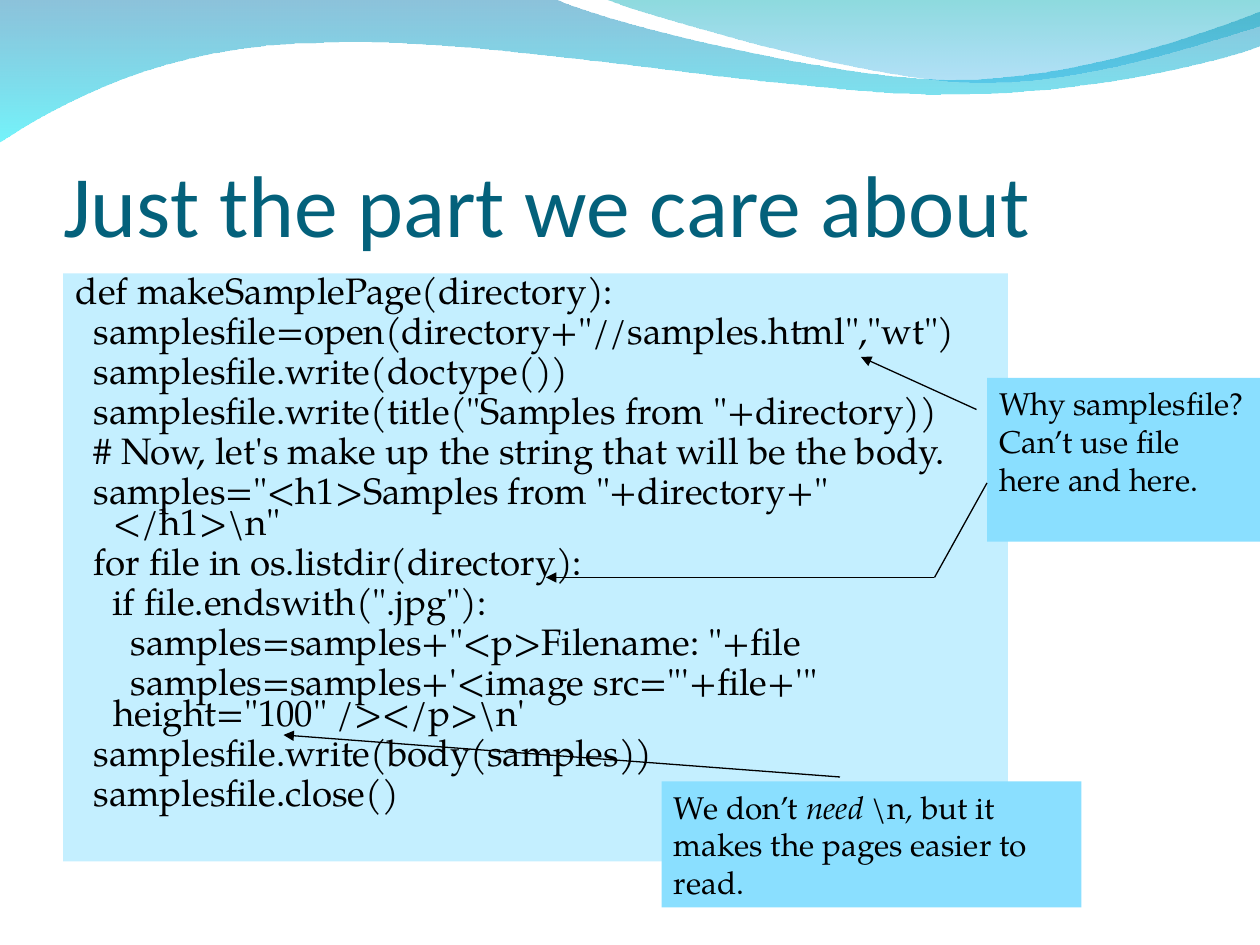
from dataclasses import dataclass

from lxml import etree
from pptx import Presentation
from pptx.dml.color import RGBColor
from pptx.enum.shapes import MSO_CONNECTOR, MSO_SHAPE
from pptx.enum.text import MSO_ANCHOR, MSO_AUTO_SIZE, PP_ALIGN
from pptx.oxml.ns import qn
from pptx.util import Pt

RECTANGLE, STRAIGHT = MSO_SHAPE.RECTANGLE, MSO_CONNECTOR.STRAIGHT
TOP, BOTTOM = MSO_ANCHOR.TOP, MSO_ANCHOR.BOTTOM
LEFT, NO_AUTOFIT = PP_ALIGN.LEFT, MSO_AUTO_SIZE.NONE


@dataclass(frozen=True)
class Theme:
    """Colours, fonts and type sizes of the slide."""
    title_color: str = "04617B"
    text_color: str = "000000"
    code_fill: str = "C4EFFF"
    callout_fill: str = "8ADFFF"
    wide_wave: tuple = (("0079AF", 45), ("00EBF8", 55))
    right_wave: tuple = (("00ADB6", 45), ("009BE5", 30))
    title_font: str = "Calibri"
    text_font: str = "TeX Gyre Pagella"
    title_size: float = 50
    code_size: float = 21
    callout_size: float = 18
    line_width: float = 0.75


THEME = Theme()

WIDE_WAVE = [
    (0, -0.7), (316.8, -0.7),
    (342.7, 12.2, 478.1, 45.4, 545.8, 45.4),
    (614.2, 45.4, 689.8, 18.7, 720, 6.5),
    (720.7, 25.9),
    (707.8, 31.7, 626.4, 54.7, 537.1, 54),
    (447.8, 54, 275, 20.2, 185, 24.5),
    (92.9, 25.2, 33.1, 59.8, -0.7, 81.4),
    (0, -0.7),
]
RIGHT_WAVE = [
    (344.9, -0.7),
    (366.5, 7.9, 491, 44.6, 553.7, 46.8),
    (616.3, 49.7, 691.9, 23, 720, 15.1),
    (720, 0), (344.9, -0.7),
]
CODE = r'''def makeSamplePage(directory):
  samplesfile=open(directory+"//samples.html","wt")
  samplesfile.write(doctype())
  samplesfile.write(title("Samples from "+directory))
  # Now, let's make up the string that will be the body.
  samples="<h1>Samples from "+directory+" </h1>\n"
  for file in os.listdir(directory):
    if file.endswith(".jpg"):
      samples=samples+"<p>Filename: "+file
      samples=samples+'<image src="'+file+'" height="100" /></p>\n'
  samplesfile.write(body(samples))
  samplesfile.close()'''
CALLOUTS = [
    ((564, 216, 156, 93.6),
     [("Why samplesfile? Can’t use file here and here.", False)]),
    ((378, 446.5, 240, 72),
     [("We don’t ", False), ("need", True), (r" \n", False), (",", True),
      (" but it makes the pages easier to read.", False)]),
]
POINTERS = [
    ((558, 234), (492, 204), True),
    ((534, 330), (312, 330), True),
    ((564, 276), (534, 330), False),
    ((480, 444), (162, 420), True),
]


def apply(target, values):
    """Set the attributes of an object from a dict."""
    for name, value in values.items():
        setattr(target, name, value)


def place(shape, box):
    """Move and size a shape to a box in points."""
    apply(shape, dict(zip(("left", "top", "width", "height"), map(Pt, box))))


def fill_solid(shape, color):
    """Give a shape one plain fill colour."""
    shape.fill.solid()
    shape.fill.fore_color.rgb = RGBColor.from_string(color)


def add_run(paragraph, text, font, size, color, italic=False):
    """Append a formatted run to a paragraph."""
    run = paragraph.add_run()
    run.text = text
    apply(run.font, {"name": font, "size": Pt(size), "italic": italic})
    run.font.color.rgb = RGBColor.from_string(color)


def build_outline(slide, segments):
    """Build a closed freeform; segments of six values become Bézier curves."""
    first, *rest = [(Pt(x), Pt(y)) for segment in segments
                    for x, y in zip(segment[::2], segment[1::2])]
    builder = slide.shapes.build_freeform(*first)
    builder.add_line_segments(rest, close=True)
    outline = builder.convert_to_shape()
    lines = iter(list(outline.element.iter(qn("a:lnTo"))))
    for segment in segments[1:]:
        line = next(lines)
        if len(segment) == 6:
            line.tag = qn("a:cubicBezTo")
            for other in (next(lines), next(lines)):
                line.append(other[0])
                other.getparent().remove(other)
    return outline


def add_wave(slide, segments, stops, depth):
    """Draw a translucent gradient wave behind the text."""
    wave = build_outline(slide, segments)
    wave.shadow.inherit = False
    wave.line.fill.background()
    wave.fill.gradient()
    wave.fill.gradient_angle = 270
    for stop, (color, opacity) in zip(wave.fill.gradient_stops, stops):
        stop.color.rgb = RGBColor.from_string(color)
    for element, (color, opacity) in zip(wave.element.iter(qn("a:srgbClr")), stops):
        etree.SubElement(element, qn("a:alpha"), val=str(opacity * 1000))
    wave.element.getparent().insert(2 + depth, wave.element)


def fill_title(title, text):
    """Place and write the title."""
    place(title, (36, 55.7, 648, 90))
    apply(title.text_frame, {
        "auto_size": NO_AUTOFIT, "vertical_anchor": BOTTOM, "margin_left": 0,
        "margin_right": 0, "margin_top": Pt(3.6), "margin_bottom": 0})
    paragraph = title.text_frame.paragraphs[0]
    paragraph.alignment = LEFT
    add_run(paragraph, text, THEME.title_font, THEME.title_size, THEME.title_color)


def fill_code(body, code):
    """Write the code listing, one paragraph a line."""
    place(body, (36, 156.2, 540, 336))
    fill_solid(body, THEME.code_fill)
    frame = body.text_frame
    apply(frame, {"auto_size": NO_AUTOFIT, "vertical_anchor": TOP})
    for index, line in enumerate(code.split("\n")):
        paragraph = frame.add_paragraph() if index else frame.paragraphs[0]
        properties = paragraph._p.get_or_add_pPr()
        apply(paragraph, {"alignment": LEFT, "line_spacing": 0.7,
                          "space_before": Pt(5.25 if index else 0)})
        properties.set("marL", str(Pt(21.6)))
        properties.set("indent", str(-Pt(21.6)))
        etree.SubElement(properties, qn("a:buNone"))
        add_run(paragraph, line, THEME.text_font, THEME.code_size, THEME.text_color)


def add_callout(slide, box, runs):
    """Add a filled note box."""
    callout = slide.shapes.add_shape(RECTANGLE, *map(Pt, box))
    callout.shadow.inherit = False
    callout.line.fill.background()
    fill_solid(callout, THEME.callout_fill)
    apply(callout.text_frame, {"word_wrap": True, "vertical_anchor": TOP})
    paragraph = callout.text_frame.paragraphs[0]
    paragraph.alignment = LEFT
    for text, italic in runs:
        add_run(paragraph, text, THEME.text_font, THEME.callout_size,
                THEME.text_color, italic)


def add_pointer(slide, start, end, has_head):
    """Add a thin line, with an arrowhead at its end if wanted."""
    pointer = slide.shapes.add_connector(STRAIGHT, *map(Pt, start + end))
    pointer.line.width = Pt(THEME.line_width)
    pointer.line.color.rgb = RGBColor.from_string(THEME.text_color)
    if has_head:
        etree.SubElement(pointer.line._get_or_add_ln(), qn("a:tailEnd"), type="triangle")
    etree.SubElement(pointer.element.spPr, qn("a:effectLst"))


def main():
    """Build and save the slide."""
    presentation = Presentation()
    apply(presentation, {"slide_width": Pt(720), "slide_height": Pt(540)})
    slide = presentation.slides.add_slide(presentation.slide_layouts[1])
    add_wave(slide, WIDE_WAVE, THEME.wide_wave, 0)
    add_wave(slide, RIGHT_WAVE, THEME.right_wave, 1)
    fill_title(slide.shapes.title, "Just the part we care about")
    fill_code(slide.placeholders[1], CODE)
    for box, runs in CALLOUTS:
        add_callout(slide, box, runs)
    for start, end, has_head in POINTERS:
        add_pointer(slide, start, end, has_head)
    presentation.save("out.pptx")


if __name__ == "__main__":
    main()
